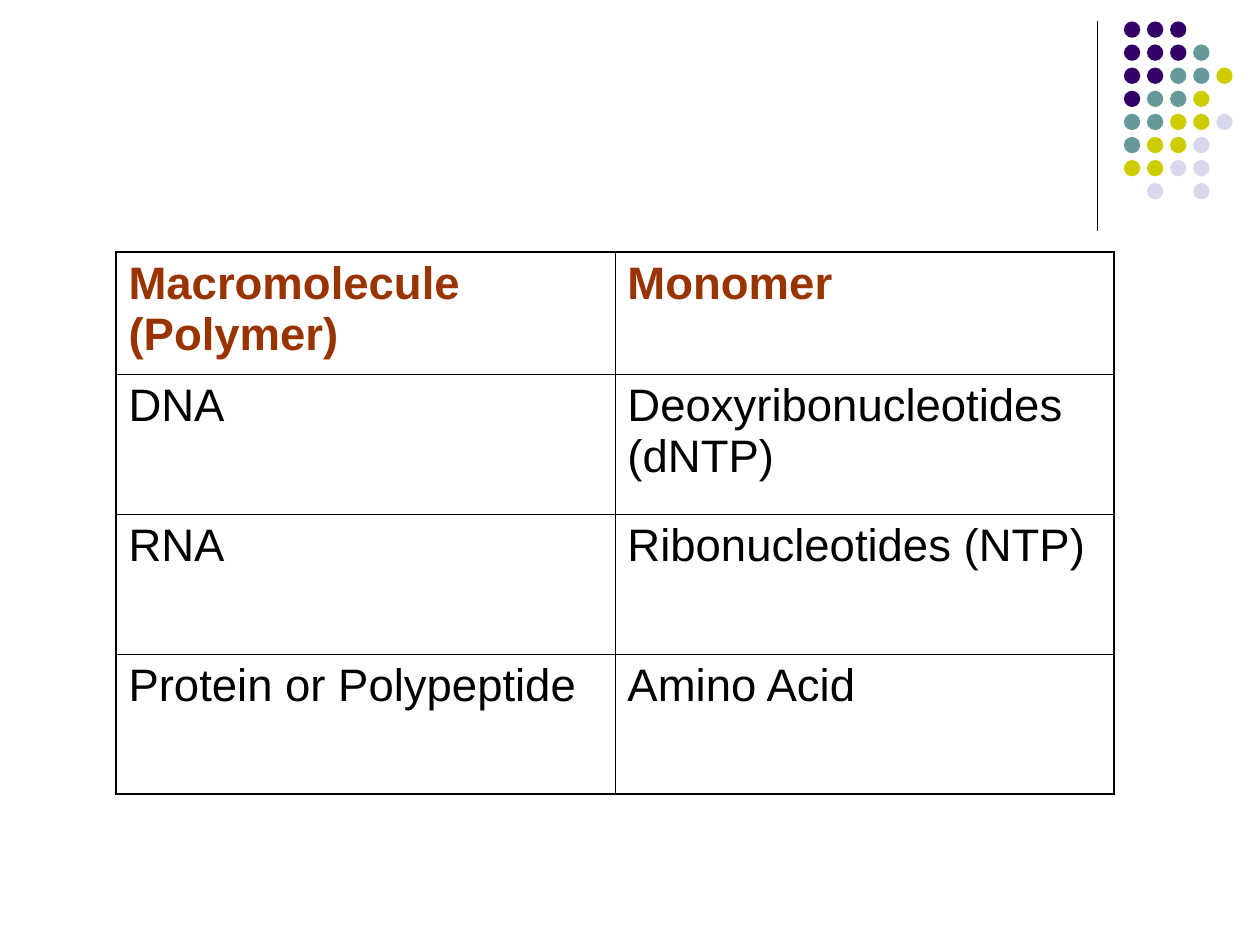
"""Build a slide with a table of macromolecules and their monomers."""
from typing import NamedTuple

from lxml import etree
from pptx import Presentation
from pptx.dml.color import RGBColor
from pptx.enum.shapes import MSO_CONNECTOR, MSO_SHAPE
from pptx.oxml.ns import qn
from pptx.util import Inches, Pt

STRAIGHT = MSO_CONNECTOR.STRAIGHT
OVAL = MSO_SHAPE.OVAL

COLORS = {
    "black": "000000",
    "heading": "993300",
    "purple": "330066",
    "teal": "669999",
    "yellow": "CCCC00",
    "lavender": "D8D8EC",
}
DOT_COLORS = {"P": "purple", "T": "teal", "Y": "yellow", "L": "lavender"}
DOT_ROWS = ["PPP", "PPPT", "PPTTY", "PTTY", "TTYYL", "TYYL", "YYLL", ".L.L"]
DOT_LEFT, DOT_TOP, DOT_SIZE = Inches(8.92), Inches(0.17), Inches(0.13)
DOT_PITCH = Inches(0.55) / 3

OUTER_WIDTH, INNER_WIDTH = Pt(1.08), Pt(0.45)


class MoleculeRow(NamedTuple):
    polymer: str
    monomer: str
    height: float


ROWS = [
    MoleculeRow("Macromolecule (Polymer)", "Monomer", 0.97),
    MoleculeRow("DNA", "Deoxyribonucleotides (dNTP)", 1.11),
    MoleculeRow("RNA", "Ribonucleotides (NTP)", 1.11),
    MoleculeRow("Protein or Polypeptide", "Amino Acid", 1.11),
]


def color(name: str) -> RGBColor:
    return RGBColor.from_string(COLORS[name])


def draw_divider(slide) -> None:
    divider = slide.shapes.add_connector(
        STRAIGHT, Inches(8.71), Inches(0.17), Inches(8.71), Inches(1.83)
    )
    divider.line.color.rgb = color("black")
    divider.line.width = Pt(0.75)
    etree.SubElement(divider._element.spPr, qn("a:effectLst"))


def draw_dots(slide) -> None:
    group = slide.shapes.add_group_shape()
    for row, codes in enumerate(DOT_ROWS):
        for column, code in enumerate(codes):
            if code not in DOT_COLORS:
                continue
            left = round(DOT_LEFT + column * DOT_PITCH)
            top = round(DOT_TOP + row * DOT_PITCH)
            dot = group.shapes.add_shape(OVAL, left, top, DOT_SIZE, DOT_SIZE)
            dot.shadow.inherit = False
            dot.fill.solid()
            dot.fill.fore_color.rgb = color(DOT_COLORS[code])
            dot.line.fill.background()


def set_borders(cell, outer_sides: dict[str, bool]) -> None:
    properties = cell._tc.get_or_add_tcPr()
    for side, is_outer in outer_sides.items():
        width = OUTER_WIDTH if is_outer else INNER_WIDTH
        line = etree.SubElement(properties, qn(f"a:ln{side}"), w=str(width))
        fill = etree.SubElement(line, qn("a:solidFill"))
        etree.SubElement(fill, qn("a:srgbClr"), val=COLORS["black"])


def fill_cell(cell, text: str, is_heading: bool) -> None:
    cell.fill.background()
    cell.text = text
    font = cell.text_frame.paragraphs[0].font
    font.name = "Arial"
    font.size = Pt(26)
    font.bold = is_heading
    font.color.rgb = color("heading" if is_heading else "black")


def draw_table(slide, rows: list[MoleculeRow]) -> None:
    height = Inches(sum(row.height for row in rows))
    table = slide.shapes.add_table(
        len(rows), 2, Inches(0.92), Inches(2), Inches(7.92), height
    ).table
    table.first_row = False
    table.horz_banding = False
    for index, row in enumerate(rows):
        table.rows[index].height = Inches(row.height)
        for column, text in enumerate((row.polymer, row.monomer)):
            cell = table.cell(index, column)
            set_borders(cell, {
                "L": column == 0,
                "R": column == 1,
                "T": index == 0,
                "B": index == len(rows) - 1,
            })
            fill_cell(cell, text, index == 0)


def main() -> None:
    presentation = Presentation()
    presentation.slide_width = Inches(10)
    presentation.slide_height = Inches(7.5)
    slide = presentation.slides.add_slide(presentation.slide_layouts[6])
    draw_divider(slide)
    draw_dots(slide)
    draw_table(slide, ROWS)
    presentation.save("out.pptx")


if __name__ == "__main__":
    main()
